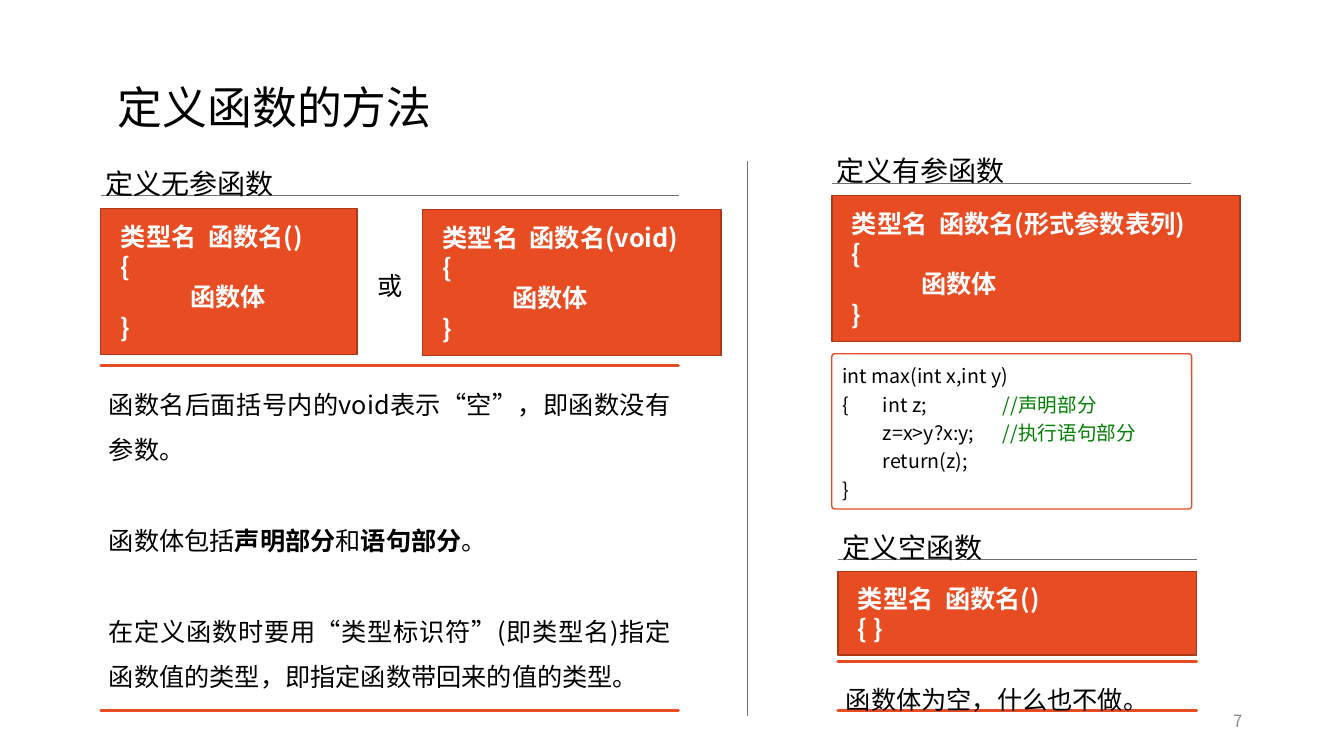
from dataclasses import dataclass
from typing import Any

from lxml import etree
from pptx import Presentation
from pptx.dml.color import RGBColor
from pptx.enum.lang import MSO_LANGUAGE_ID
from pptx.enum.shapes import MSO_CONNECTOR, MSO_SHAPE
from pptx.enum.text import MSO_ANCHOR, PP_ALIGN
from pptx.oxml.ns import qn
from pptx.util import Emu, Pt

PX = 9144  # one px is a hundredth of an inch
FONT = "Noto Sans CJK SC"
LINE_HEIGHT = 1.2  # line pitch as a multiple of the text size

ORANGE = RGBColor(0xE8, 0x4C, 0x22)
DARK_ORANGE = RGBColor(0xAC, 0x38, 0x19)
WHITE = RGBColor(0xFF, 0xFF, 0xFF)
BLACK = RGBColor(0x00, 0x00, 0x00)
GREEN = RGBColor(0x00, 0x80, 0x00)
GRAY = RGBColor(0x8C, 0x8C, 0x8C)
RULE_GRAY = RGBColor(0x70, 0x70, 0x70)

RECTANGLE, ROUNDED = MSO_SHAPE.RECTANGLE, MSO_SHAPE.ROUNDED_RECTANGLE
STRAIGHT = MSO_CONNECTOR.STRAIGHT
TOP, MIDDLE = MSO_ANCHOR.TOP, MSO_ANCHOR.MIDDLE
LEFT, CENTER, RIGHT, JUSTIFY = (PP_ALIGN.LEFT, PP_ALIGN.CENTER,
                                PP_ALIGN.RIGHT, PP_ALIGN.JUSTIFY)
CHINESE = MSO_LANGUAGE_ID.SIMPLIFIED_CHINESE


@dataclass(frozen=True)
class Run:
    text: str
    bold: bool = False
    color: RGBColor | None = None


@dataclass(frozen=True)
class Style:
    size: int
    color: RGBColor = BLACK
    bold: bool = False
    align: Any = LEFT
    anchor: Any = TOP
    spacing: float = 1.0
    paragraph_gap: float = 0
    insets: tuple[int, int, int, int] = (10, 5, 10, 5)
    tab_stops: tuple[int, ...] = ()


@dataclass(frozen=True)
class Block:
    left: int
    top: int
    width: int
    height: int
    paragraphs: list[list[Run]]
    style: Style


@dataclass(frozen=True)
class Rule:
    x1: int
    y1: int
    x2: int
    y2: int


def lines(*texts: str) -> list[list[Run]]:
    return [[Run(text)] for text in texts]


TITLE = Style(32, anchor=MIDDLE, insets=(10, 5, 10, 13))
HEADING = Style(20)
SYNTAX = Style(18, WHITE, True, anchor=MIDDLE, insets=(20, 5, 10, 5), tab_stops=(69,))
BODY = Style(18, align=JUSTIFY, spacing=1.5, paragraph_gap=32.4, insets=(8, 8, 8, 8))
CODE = Style(14, spacing=1.2, tab_stops=(40, 80, 119, 159))

TEXTS = [
    Block(107, 37, 648, 145, lines("定义函数的方法"), TITLE),
    Block(95, 160, 216, 44, lines("定义无参函数"), HEADING),
    Block(820, 147, 216, 44, lines("定义有参函数"), HEADING),
    Block(826, 521, 216, 44, lines("定义空函数"), HEADING),
    Block(364, 263, 46, 40, lines("或"), Style(18, align=CENTER)),
    Block(942, 695, 300, 40, lines("7"), Style(12, GRAY, align=RIGHT, anchor=MIDDLE)),
]

NOTES = [
    Block(100, 363, 573, 342, [
        [Run("函数名后面括号内的void表示“空”，即函数没有参数。")],
        [Run("函数体包括"), Run("声明部分", True), Run("和"),
         Run("语句部分", True), Run("。")],
        [Run("在定义函数时要用“类型标识符”(即类型名)指定函数值的类型，即指定函数带回来的值的类型。")],
    ], BODY),
    Block(831, 656, 356, 49, lines("函数体为空，什么也不做。"), BODY),
]

FUNCTION_BODY = ("{", "\t函数体", "}")
SYNTAX_BOXES = [
    Block(100, 207, 254, 145, lines("类型名  函数名()", *FUNCTION_BODY), SYNTAX),
    Block(419, 208, 296, 145, lines("类型名  函数名(void)", *FUNCTION_BODY), SYNTAX),
    Block(825, 194, 405, 145, lines("类型名  函数名(形式参数表列)", *FUNCTION_BODY), SYNTAX),
    Block(831, 567, 356, 83, lines("类型名  函数名()", "{ }"), SYNTAX),
]

CODE_BOX = Block(825, 351, 357, 154, [
    [Run("int max(int x,int y)")],
    [Run("{\tint z;\t\t"), Run("//声明部分", color=GREEN)],
    [Run("\tz=x>y?x:y;\t"), Run("//执行语句部分", color=GREEN)],
    [Run("\treturn(z);")],
    [Run("}")],
], CODE)

RULES = [
    Rule(100, 194, 673, 194),
    Rule(825, 182, 1181, 182),
    Rule(831, 555, 1187, 555),
    Rule(741, 160, 741, 710),
]


def px(value: int) -> Emu:
    return Emu(value * PX)


def set_values(target: Any, values: dict[str, Any]) -> None:
    for name, value in values.items():
        setattr(target, name, value)


def add_tab_stops(paragraph: Any, stops: tuple[int, ...]) -> None:
    tab_list = etree.SubElement(paragraph._p.get_or_add_pPr(), qn("a:tabLst"))
    for stop in stops:
        etree.SubElement(tab_list, qn("a:tab"), pos=str(px(stop)), algn="l")


def write_run(paragraph: Any, run: Run, style: Style) -> None:
    text_run = paragraph.add_run()
    text_run.text = run.text
    font = text_run.font
    font.color.rgb = run.color or style.color
    set_values(font, {"size": Pt(style.size), "bold": style.bold or run.bold,
                      "name": FONT, "language_id": CHINESE})
    font._element.find(qn("a:latin")).addnext(
        etree.Element(qn("a:ea"), typeface=FONT))


def write_text(shape: Any, block: Block) -> None:
    style, frame = block.style, shape.text_frame
    sides = ("margin_left", "margin_top", "margin_right", "margin_bottom")
    set_values(frame, {"word_wrap": True, "vertical_anchor": style.anchor,
                       **dict(zip(sides, map(px, style.insets)))})
    for index, runs in enumerate(block.paragraphs):
        paragraph = frame.add_paragraph() if index else frame.paragraphs[0]
        set_values(paragraph, {
            "alignment": style.align,
            "line_spacing": Pt(round(style.size * LINE_HEIGHT * style.spacing, 1)),
            "space_before": Pt(style.paragraph_gap if index else 0)})
        if style.tab_stops:
            add_tab_stops(paragraph, style.tab_stops)
        for run in runs:
            write_run(paragraph, run, style)


def bounds(block: Block) -> tuple[Emu, ...]:
    return tuple(map(px, (block.left, block.top, block.width, block.height)))


def add_box(slide: Any, block: Block, kind: Any, fill: RGBColor, line: RGBColor) -> Any:
    shape = slide.shapes.add_shape(kind, *bounds(block))
    shape.shadow.inherit = False
    shape.fill.solid()
    shape.fill.fore_color.rgb = fill
    set_values(shape.line, {"width": Pt(1)})
    shape.line.color.rgb = line
    write_text(shape, block)
    return shape


def add_note(slide: Any, block: Block) -> None:
    """Draw text between a top and a bottom border, as one outline."""
    left, right = block.left, block.left + block.width
    top, bottom = block.top, block.top + block.height
    builder = slide.shapes.build_freeform(left, bottom, scale=PX)
    builder.add_line_segments([(right, bottom), (left, bottom)])
    builder.move_to(left, top)
    builder.add_line_segments([(right, top), (left, top)])
    shape = builder.convert_to_shape()
    shape.shadow.inherit = False
    shape.fill.background()
    shape.line.color.rgb = ORANGE
    shape.line.width = Pt(2)
    write_text(shape, block)


def add_rule(slide: Any, rule: Rule) -> None:
    ends = map(px, (rule.x1, rule.y1, rule.x2, rule.y2))
    connector = slide.shapes.add_connector(STRAIGHT, *ends)
    connector.line.color.rgb = RULE_GRAY
    connector.line.width = Pt(0.5)
    etree.SubElement(connector._element.spPr, qn("a:effectLst"))


def main() -> None:
    presentation = Presentation()
    set_values(presentation, {"slide_width": px(1333), "slide_height": px(750)})
    slide = presentation.slides.add_slide(presentation.slide_layouts[6])

    # Syntax templates and the example function
    for block in SYNTAX_BOXES:
        add_box(slide, block, RECTANGLE, ORANGE, DARK_ORANGE)
    add_box(slide, CODE_BOX, ROUNDED, WHITE, ORANGE).adjustments[0] = 0.02

    # Bordered notes, heading underlines and column divider
    for block in NOTES:
        add_note(slide, block)
    for rule in RULES:
        add_rule(slide, rule)

    # Title, headings and page number
    for block in TEXTS:
        write_text(slide.shapes.add_textbox(*bounds(block)), block)

    presentation.save("out.pptx")


if __name__ == "__main__":
    main()
